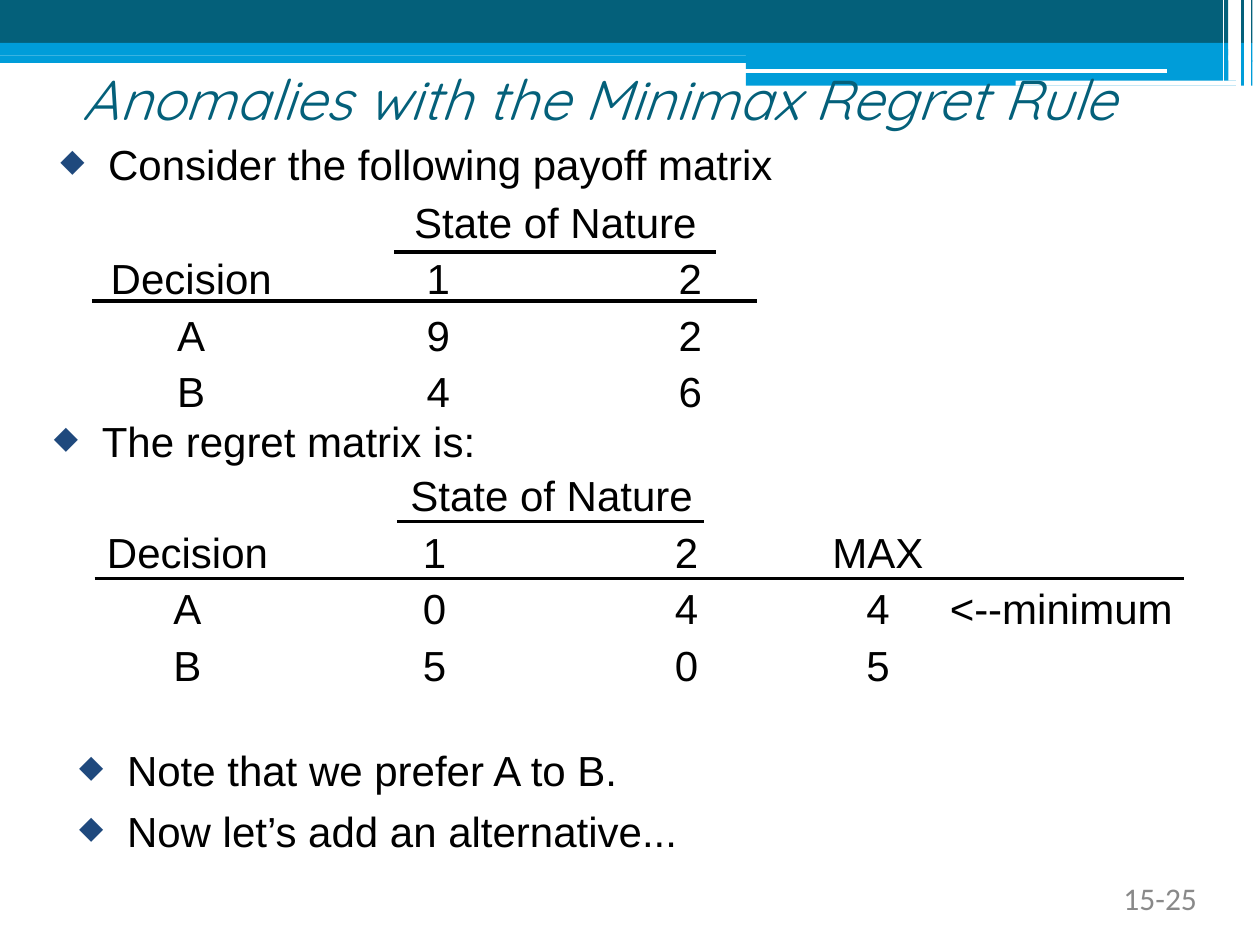
from lxml import etree
from pptx import Presentation
from pptx.dml.color import RGBColor
from pptx.enum.shapes import MSO_CONNECTOR, MSO_SHAPE
from pptx.enum.text import MSO_ANCHOR, PP_ALIGN
from pptx.oxml.ns import qn
from pptx.util import Inches, Pt

STRAIGHT = MSO_CONNECTOR.STRAIGHT
RECTANGLE = MSO_SHAPE.RECTANGLE
TOP = MSO_ANCHOR.TOP
LEFT, CENTER, RIGHT = PP_ALIGN.LEFT, PP_ALIGN.CENTER, PP_ALIGN.RIGHT

TEAL = RGBColor(0x04, 0x60, 0x7A)
SKY = RGBColor(0x00, 0x9D, 0xD9)
WHITE = RGBColor(0xFF, 0xFF, 0xFF)
BLACK = RGBColor(0x00, 0x00, 0x00)
GREY = RGBColor(0x89, 0x89, 0x89)
NAVY = RGBColor(0x1F, 0x49, 0x7D)

COLUMNS, ROWS = 100, 75
BODY = {"name": "Arial", "size": Pt(24)}
TITLE = {"name": "Quicksand", "size": Pt(32), "italic": True}
NUMBER = {"name": "Calibri", "size": Pt(18)}
MATRIX = {"line_spacing": 0.6, "space_before": Pt(15)}
BULLET = {"space_before": Pt(6)}

HEADING_TABS = [(3.9, "ctr")]
COLUMN_TABS = [(1.01, "ctr"), (2.97, "ctr"), (4.97, "ctr"), (6.49, "ctr"), (7.06, "l")]


def apply(target, values):
    for name, value in values.items():
        setattr(target, name, value)


def add_xml(parent, tag, **attributes):
    return etree.SubElement(parent, qn(tag), attributes)


class SlideBuilder:
    """Draws styled elements on one slide, placed by grid columns and rows."""

    def __init__(self, deck):
        self.slide = deck.slides.add_slide(deck.slide_layouts[6])
        self.column = deck.slide_width / COLUMNS
        self.row = deck.slide_height / ROWS

    def place(self, x, y):
        return round(x * self.column), round(y * self.row)

    def band(self, x, y, width, height, color):
        bar = self.slide.shapes.add_shape(
            RECTANGLE, *self.place(x, y), *self.place(width, height))
        bar.shadow.inherit = False
        bar.fill.solid()
        bar.fill.fore_color.rgb = color
        bar.line.fill.background()

    def rule(self, start, end, color=BLACK, weight=2):
        rule = self.slide.shapes.add_connector(
            STRAIGHT, *self.place(*start), *self.place(*end))
        rule.line.color.rgb = color
        rule.line.width = Pt(weight)
        add_xml(rule._element.spPr, "a:effectLst")

    def text(self, x, y, width, height, lines, font=BODY, color=BLACK,
             paragraph_format=None, align=LEFT, inset=(0.1, 0.05)):
        box = self.slide.shapes.add_textbox(
            *self.place(x, y), *self.place(width, height))
        frame = box.text_frame
        side, edge = map(Inches, inset)
        apply(frame, {"word_wrap": True, "vertical_anchor": TOP,
                      "margin_left": side, "margin_right": side,
                      "margin_top": edge, "margin_bottom": edge})
        for index, line in enumerate(lines):
            paragraph = frame.add_paragraph() if index else frame.paragraphs[0]
            apply(paragraph, {"alignment": align, **(paragraph_format or {})})
            run = paragraph.add_run()
            run.text = line
            apply(run.font, font)
            run.font.color.rgb = color
        return frame.paragraphs

    def bullets(self, x, y, height, lines):
        for paragraph in self.text(x, y, 90.1, height, lines, paragraph_format=BULLET):
            properties = paragraph._p.get_or_add_pPr()
            properties.set("marL", str(Inches(0.38)))
            properties.set("indent", str(-Inches(0.38)))
            bullet_color = add_xml(properties, "a:buClr")
            add_xml(bullet_color, "a:srgbClr", val=str(NAVY))
            add_xml(properties, "a:buSzPct", val="75000")
            add_xml(properties, "a:buChar", char="◆")

    def matrix(self, x, y, rows):
        lines = ["\t" + "\t".join(cells) for cells in rows]
        paragraphs = self.text(x, y, 92.3, 16.9, lines, paragraph_format=MATRIX)
        for index, paragraph in enumerate(paragraphs):
            tab_list = add_xml(paragraph._p.get_or_add_pPr(), "a:tabLst")
            for position, align in COLUMN_TABS if index else HEADING_TABS:
                add_xml(tab_list, "a:tab", pos=str(Inches(position)), algn=align)


def draw_header(builder):
    for band in [
        (0, 4.4, 59.2, 0.6, SKY),
        (98.1, 0, 1.3, 3.4, TEAL),
        (0, 0, 97.5, 3.4, TEAL),
        (98.1, 3.4, 1.3, 1.5, SKY),
        (0, 3.4, 97.5, 1, SKY),
        (59.2, 3.9, 38.3, 1, SKY),
        (59.2, 4.8, 40.2, 2, SKY),
    ]:
        builder.band(*band)
    builder.rule((59.1, 5.6), (92.6, 5.6), WHITE, 2.27)
    builder.band(80.6, 6.4, 17.5, 0.4, WHITE)
    for x, weight in [(99.1, 2.98), (98.8, 1.05), (98.3, 2.98)]:
        builder.rule((x, 0), (x, 6.8), WHITE, weight)
    builder.band(97.5, 0, 0.6, 6.4, WHITE)
    builder.rule((97.1, 0), (97.1, 6.4), WHITE, 1.05)


def main():
    deck = Presentation()
    deck.slide_width, deck.slide_height = Inches(10), Inches(7.5)
    builder = SlideBuilder(deck)
    draw_header(builder)
    builder.text(3.3, 5.1, 88.6, 10.8, ["Anomalies with the Minimax Regret Rule"],
                 TITLE, TEAL, align=CENTER, inset=(0, 0))

    builder.bullets(3.8, 10.5, 10, ["Consider the following payoff matrix"])
    builder.matrix(4.1, 16.5, [
        ["State of Nature"],
        ["Decision", "1", "2"],
        ["A", "9", "2"],
        ["B", "4", "6"],
    ])
    builder.rule((31.3, 20), (56.8, 20))
    builder.rule((7.3, 23.9), (60.1, 23.9))

    builder.matrix(3.8, 38.2, [
        ["State of Nature"],
        ["Decision", "1", "2", "MAX"],
        ["A", "0", "4", "4", "<--minimum"],
        ["B", "5", "0", "5"],
    ])
    builder.bullets(3.3, 32.5, 10, ["The regret matrix is:"])
    builder.rule((31.5, 41.4), (55.9, 41.4))
    builder.rule((7.5, 45.9), (94, 45.9))

    builder.bullets(5.3, 58.6, 15.3, [
        "Note that we prefer A to B.",
        "Now let’s add an alternative...",
    ])
    builder.text(72, 69.8, 23, 3.1, ["15-25"], NUMBER, GREY,
                 align=RIGHT, inset=(0, 0))
    deck.save("out.pptx")


if __name__ == "__main__":
    main()
